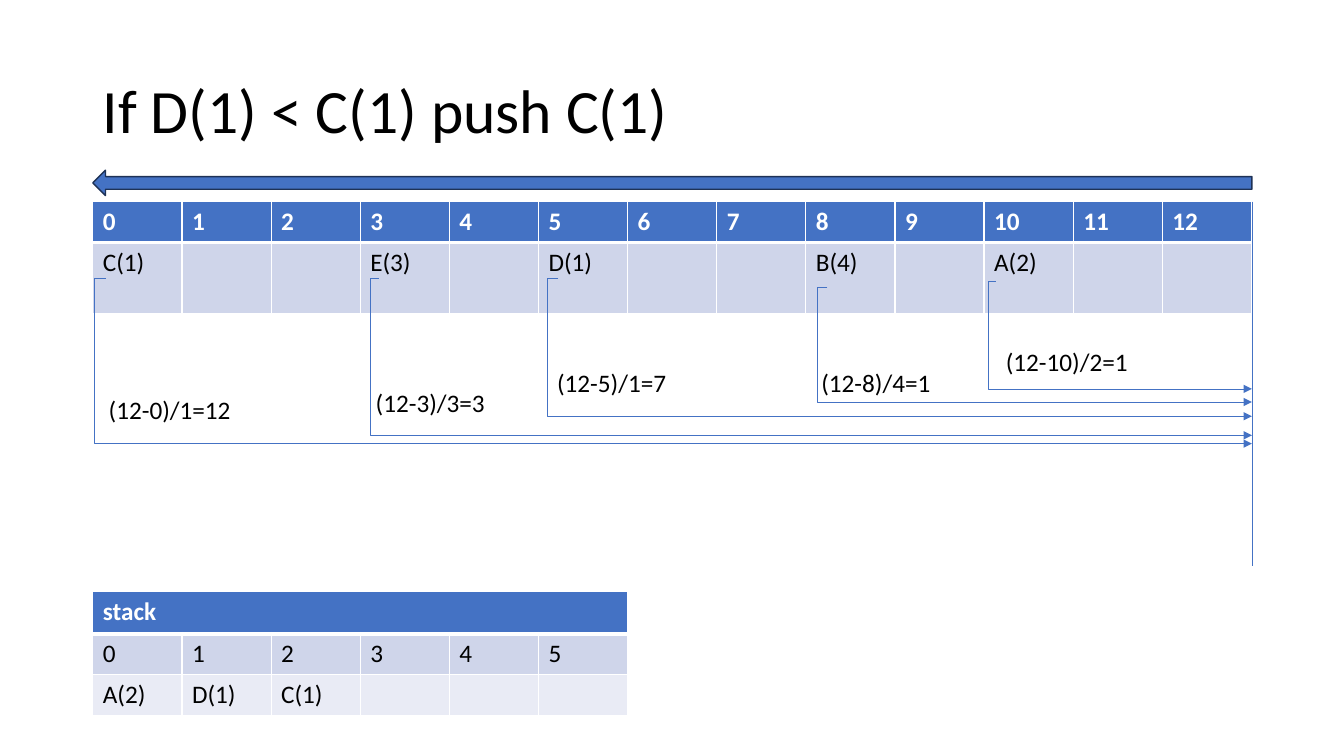
from lxml import etree
from pptx import Presentation
from pptx import util as u
from pptx.dml.color import RGBColor
from pptx.enum import shapes, text
from pptx.oxml import ns

COLORS = {
    "black": "000000",
    "white": "FFFFFF",
    "blue": "4472C4",
    "navy": "1E3256",
    "band": "CFD5EA",
    "pale": "E9EBF5",
}
FONT = "Calibri"
LEFT, WIDTH, COLUMNS = 2.34, 29.21, 13
RIGHT = LEFT + WIDTH
TABLE_TOP = 5.08

JOBS = {0: "C(1)", 3: "E(3)", 5: "D(1)", 8: "B(4)", 10: "A(2)"}
STACK = ["A(2)", "D(1)", "C(1)"]
SPANS = [
    ("(12-10)/2=1", (25.1, 8.59, 3.63), (25.1, 7.09), 24.92, 9.8),
    ("(12-8)/4=1", (20.45, 9.12, 3.3), (20.85, 7.24), 20.6, 10.13),
    ("(12-5)/1=7", (13.79, 9.14, 3.3), (14.07, 7.01), 13.79, 10.49),
    ("(12-3)/3=3", (9.22, 9.63, 3.3), (9.55, 7.01), 9.32, 10.97),
    ("(12-0)/1=12", (2.49, 9.8, 3.63), (2.67, 7.01), 2.39, 11.18),
]


def color(name):
    return RGBColor.from_string(COLORS[name])


def add_span(para, words, size=18, ink="black", bold=False):
    span = para.add_run()
    span.text = words
    span.font.name = FONT
    span.font.size = u.Pt(size)
    span.font.bold = bold
    span.font.color.rgb = color(ink)


def add_text(page, words, left, top, width, height, size=18):
    box = page.shapes.add_textbox(u.Cm(left), u.Cm(top), u.Cm(width), u.Cm(height))
    add_span(box.text_frame.paragraphs[0], words, size)
    return box.text_frame


def add_title(page, words):
    frame = add_text(page, words, LEFT, 1.02, WIDTH, 3.68, 44)
    frame.word_wrap = True
    frame.vertical_anchor = text.MSO_ANCHOR.MIDDLE
    frame.paragraphs[0].line_spacing = 0.9


def add_label(page, words, left, top, width):
    frame = add_text(page, words, left, top, width, 1.02)
    frame.word_wrap = False
    frame.auto_size = text.MSO_AUTO_SIZE.SHAPE_TO_FIT_TEXT


def set_borders(cell, header):
    properties = cell._tc.get_or_add_tcPr()
    for side in "LRTB":
        points = 3 if header and side == "B" else 1
        edge = etree.SubElement(properties, ns.qn(f"a:ln{side}"), w=str(u.Pt(points)))
        fill = etree.SubElement(edge, ns.qn("a:solidFill"))
        etree.SubElement(fill, ns.qn("a:srgbClr"), val=COLORS["white"])


def add_grid(page, top, rows, heights, fills):
    columns = len(rows[0])
    column_width = WIDTH / COLUMNS
    grid = page.shapes.add_table(
        len(rows), columns, u.Cm(LEFT), u.Cm(top),
        u.Cm(column_width * columns), u.Cm(sum(heights))).table
    for column in grid.columns:
        column.width = u.Cm(column_width)
    for r, (row, height, fill) in enumerate(zip(rows, heights, fills)):
        grid.rows[r].height = u.Cm(height)
        header = r == 0
        for c, words in enumerate(row):
            cell = grid.cell(r, c)
            set_borders(cell, header)
            cell.fill.solid()
            cell.fill.fore_color.rgb = color(fill)
            para = cell.text_frame.paragraphs[0]
            para.font.size = u.Pt(18)
            if words:
                add_span(para, words, ink="white" if header else "black", bold=header)
    return grid


def add_line(page, kind, start, end):
    line = page.shapes.add_connector(kind, *map(u.Cm, start + end))
    line.line.color.rgb = color("blue")
    line.line.width = u.Pt(0.5)
    etree.SubElement(line._element.spPr, ns.qn("a:effectLst"))
    return line


def add_bent_arrow(page, start, bend, bottom):
    line = add_line(page, shapes.MSO_CONNECTOR.ELBOW, start, (RIGHT, bottom))
    properties = line._element.spPr
    guides = properties.find(ns.qn("a:prstGeom")).find(ns.qn("a:avLst"))
    share = round((bend - start[0]) / (RIGHT - start[0]) * 100000)
    etree.SubElement(guides, ns.qn("a:gd"), name="adj1", fmla=f"val {share}")
    etree.SubElement(properties.find(ns.qn("a:ln")), ns.qn("a:tailEnd"), type="triangle")


def add_direction_arrow(page):
    arrow = page.shapes.add_shape(
        shapes.MSO_SHAPE.LEFT_ARROW, u.Cm(LEFT), u.Cm(4.29), u.Cm(WIDTH), u.Cm(0.64))
    arrow.shadow.inherit = False
    arrow.fill.solid()
    arrow.fill.fore_color.rgb = color("blue")
    arrow.line.color.rgb = color("navy")
    arrow.line.width = u.Pt(1)


def main():
    deck = Presentation()
    deck.slide_width, deck.slide_height = u.Cm(33.87), u.Cm(19.05)
    page = deck.slides.add_slide(deck.slide_layouts[6])

    add_title(page, "If D(1) < C(1) push C(1)")
    positions = [str(n) for n in range(COLUMNS)]
    jobs = [JOBS.get(n, "") for n in range(COLUMNS)]
    add_grid(page, TABLE_TOP, [positions, jobs], [1.03, 1.79], ["blue", "band"])

    slots = 6
    stack_rows = [
        ["stack"] + [""] * (slots - 1),
        positions[:slots],
        STACK + [""] * (slots - len(STACK)),
    ]
    stack = add_grid(page, 14.91, stack_rows, [1.06, 1.03, 1.03], ["blue", "band", "pale"])
    stack.cell(0, 0).merge(stack.cell(0, slots - 1))

    add_line(page, shapes.MSO_CONNECTOR.STRAIGHT, (RIGHT, TABLE_TOP), (RIGHT, 14.27))
    for words, place, start, bend, bottom in SPANS:
        add_bent_arrow(page, start, bend, bottom)
        add_label(page, words, *place)
    add_direction_arrow(page)
    deck.save("out.pptx")


if __name__ == "__main__":
    main()
